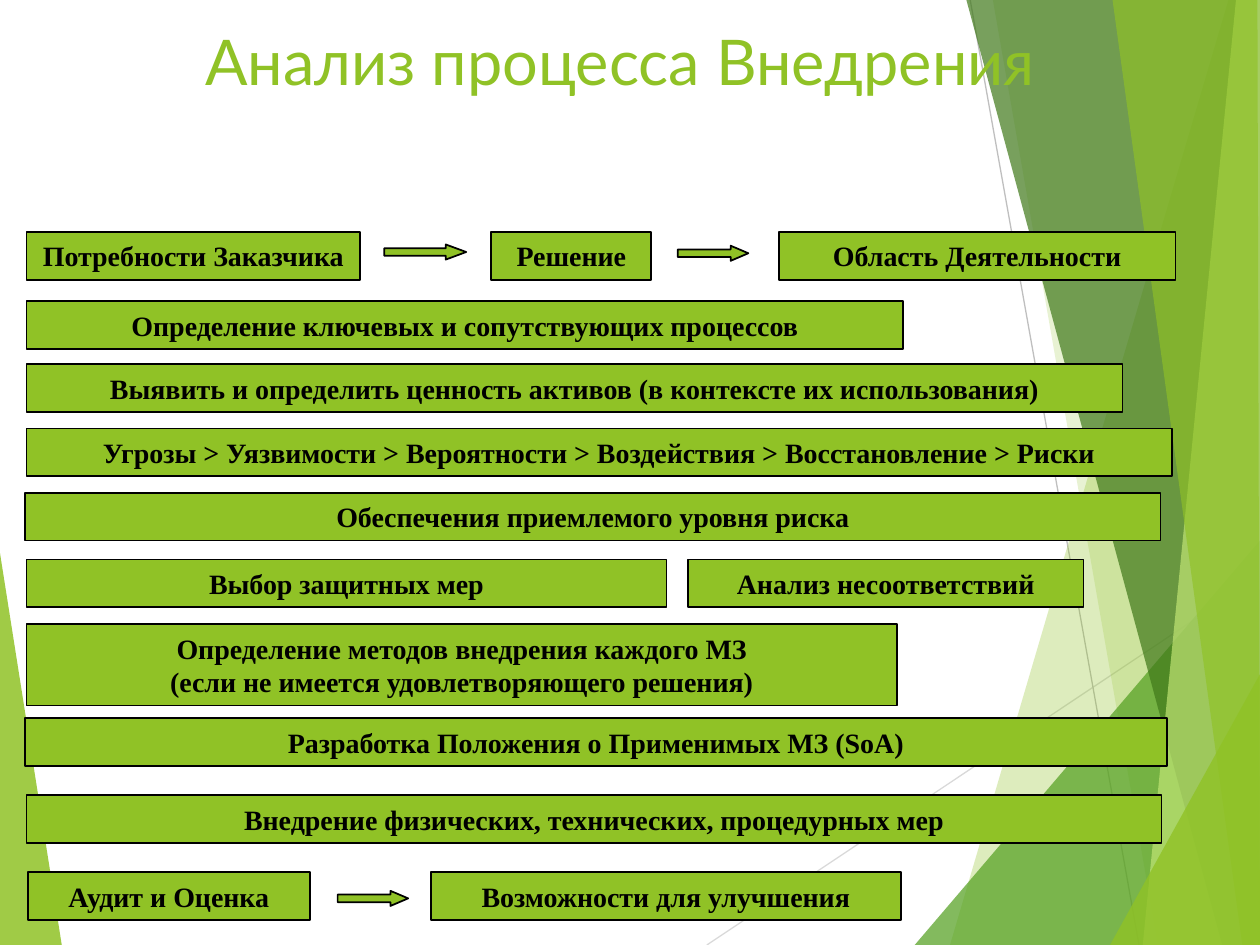
from dataclasses import dataclass

import lxml.etree
import pptx
import pptx.dml.color
import pptx.enum.shapes
import pptx.enum.text
import pptx.oxml.ns
import pptx.util
from pptx.util import Inches

COLORS = {
    "lime": "90C226",
    "green": "54A021",
    "forest": "3F7819",
    "pale": "C0E474",
    "light_gray": "D9D9D9",
    "gray": "BFBFBF",
    "black": "000000",
}
WIDTH, HEIGHT = 10, 7.5
ROW_HEIGHT = 0.38
ARROW_HEIGHT = 0.12


@dataclass
class Facet:
    points: list[tuple[float, float]]
    color: str
    opacity: int


@dataclass
class Ray:
    start: tuple[float, float]
    end: tuple[float, float]
    color: str


@dataclass
class Step:
    left: float
    top: float
    width: float
    text: str
    height: float = ROW_HEIGHT


@dataclass
class Arrow:
    left: float
    top: float
    width: float


LEFT_FACET = Facet([(0, 4.39), (0.49, HEIGHT), (0, HEIGHT)], "lime", 85)
RAYS = [
    Ray((5.61, HEIGHT), (WIDTH, 4.57), "light_gray"),
    Ray((7.7, 0), (9.04, HEIGHT), "gray"),
]
RIGHT_FACETS = [
    Facet([(9.75, 0), (7.54, HEIGHT), (WIDTH, HEIGHT), (WIDTH, 0)], "lime", 30),
    Facet([(7.88, 0), (9.19, HEIGHT), (WIDTH, HEIGHT), (WIDTH, 0)], "lime", 20),
    Facet([(7.26, HEIGHT), (WIDTH, 4.29), (WIDTH, HEIGHT)], "green", 72),
    Facet([(7.67, 0), (9.7, HEIGHT), (WIDTH, HEIGHT), (WIDTH, 0)], "forest", 70),
    Facet([(9.81, 0), (9.07, HEIGHT), (WIDTH, HEIGHT), (WIDTH, 0)], "pale", 70),
    Facet([(8.83, 0), (9.86, HEIGHT), (WIDTH, HEIGHT), (9.98, 0)], "lime", 65),
    Facet([(8.81, HEIGHT), (WIDTH, 5.35), (WIDTH, HEIGHT)], "lime", 80),
]
STEPS = [
    Step(0.21, 1.84, 2.65, "Потребности Заказчика"),
    Step(3.9, 1.84, 1.27, "Решение"),
    Step(6.18, 1.84, 3.15, "Область Деятельности"),
    Step(0.21, 2.39, 6.96, "Определение ключевых и сопутствующих процессов"),
    Step(0.21, 2.89, 8.7,
         "Выявить и определить ценность активов (в контексте их использования)"),
    Step(0.21, 3.4, 9.09,
         "Угрозы > Уязвимости > Вероятности > Воздействия > Восстановление > Риски"),
    Step(0.2, 3.91, 9.01, "Обеспечения приемлемого уровня риска"),
    Step(0.21, 4.44, 5.08, "Выбор защитных мер"),
    Step(5.46, 4.44, 3.14, "Анализ несоответствий"),
    Step(0.21, 4.95, 6.91, "Определение методов внедрения каждого МЗ\n"
         "(если не имеется удовлетворяющего решения)", 0.65),
    Step(0.2, 5.7, 9.06, "Разработка Положения о Применимых МЗ (SoA)"),
    Step(0.21, 6.31, 9.01, "Внедрение физических, технических, процедурных мер"),
    Step(0.22, 6.92, 2.24, "Аудит и Оценка"),
    Step(3.42, 6.92, 3.73, "Возможности для улучшения"),
]
ARROWS = [Arrow(3.05, 1.94, 0.65), Arrow(5.38, 1.95, 0.56), Arrow(2.68, 7.07, 0.56)]


def rgb(color: str) -> pptx.dml.color.RGBColor:
    return pptx.dml.color.RGBColor.from_string(COLORS[color])


def write_text(frame, text: str, *, font: str, size: float, color: str,
               bold: bool = False, align=pptx.enum.text.PP_ALIGN.LEFT,
               anchor=pptx.enum.text.MSO_ANCHOR.TOP, spacing: float = 1.0) -> None:
    frame.text = text
    frame.word_wrap = True
    frame.vertical_anchor = anchor
    for paragraph in frame.paragraphs:
        paragraph.alignment = align
        paragraph.line_spacing = spacing
        for run in paragraph.runs:
            run.font.name = font
            run.font.size = pptx.util.Pt(size)
            run.font.bold = bold
            run.font.color.rgb = rgb(color)


def draw_facet(shapes, facet: Facet) -> None:
    corners = [(Inches(x), Inches(y)) for x, y in facet.points]
    builder = shapes.build_freeform(*corners[0])
    builder.add_line_segments(corners[1:], close=True)
    pane = builder.convert_to_shape()
    pane.shadow.inherit = False
    pane.line.fill.background()
    pane.fill.solid()
    pane.fill.fore_color.rgb = rgb(facet.color)
    tint = pane.element.spPr.find(".//" + pptx.oxml.ns.qn("a:srgbClr"))
    lxml.etree.SubElement(tint, pptx.oxml.ns.qn("a:alpha"), val=str(facet.opacity * 1000))


def draw_ray(shapes, ray: Ray) -> None:
    line = shapes.add_connector(pptx.enum.shapes.MSO_CONNECTOR.STRAIGHT,
                                *map(Inches, ray.start + ray.end))
    line.line.color.rgb = rgb(ray.color)
    line.line.width = pptx.util.Pt(0.75)
    lxml.etree.SubElement(line.element.spPr, pptx.oxml.ns.qn("a:effectLst"))


def draw_block(shapes, preset, left: float, top: float, width: float, height: float):
    block = shapes.add_shape(preset, *map(Inches, (left, top, width, height)))
    block.shadow.inherit = False
    block.fill.solid()
    block.fill.fore_color.rgb = rgb("lime")
    block.line.color.rgb = rgb("black")
    block.line.width = pptx.util.Pt(1)
    return block


def draw_step(shapes, step: Step) -> None:
    block = draw_block(shapes, pptx.enum.shapes.MSO_SHAPE.RECTANGLE,
                       step.left, step.top, step.width, step.height)
    write_text(block.text_frame, step.text, font="Times New Roman", size=16,
               color="black", bold=True, align=pptx.enum.text.PP_ALIGN.CENTER,
               anchor=pptx.enum.text.MSO_ANCHOR.MIDDLE)


def draw_arrow(shapes, arrow: Arrow) -> None:
    block = draw_block(shapes, pptx.enum.shapes.MSO_SHAPE.RIGHT_ARROW,
                       arrow.left, arrow.top, arrow.width, ARROW_HEIGHT)
    block.adjustments[1] = round(arrow.width / ARROW_HEIGHT / 4, 2)


def place_title(shapes) -> None:
    title = shapes.title
    shapes.element.append(title.element)
    title.left, title.top = Inches(1.53), Inches(0.29)
    title.width, title.height = Inches(7.92), Inches(0.86)
    write_text(title.text_frame, "Анализ процесса Внедрения", font="Lato", size=36,
               color="lime", spacing=0.7)


def main() -> None:
    deck = pptx.Presentation()
    deck.slide_width, deck.slide_height = Inches(WIDTH), Inches(HEIGHT)
    shapes = deck.slides.add_slide(deck.slide_layouts[5]).shapes
    draw_facet(shapes, LEFT_FACET)
    for ray in RAYS:
        draw_ray(shapes, ray)
    for facet in RIGHT_FACETS:
        draw_facet(shapes, facet)
    place_title(shapes)
    for step in STEPS:
        draw_step(shapes, step)
    for arrow in ARROWS:
        draw_arrow(shapes, arrow)
    deck.save("out.pptx")


if __name__ == "__main__":
    main()
